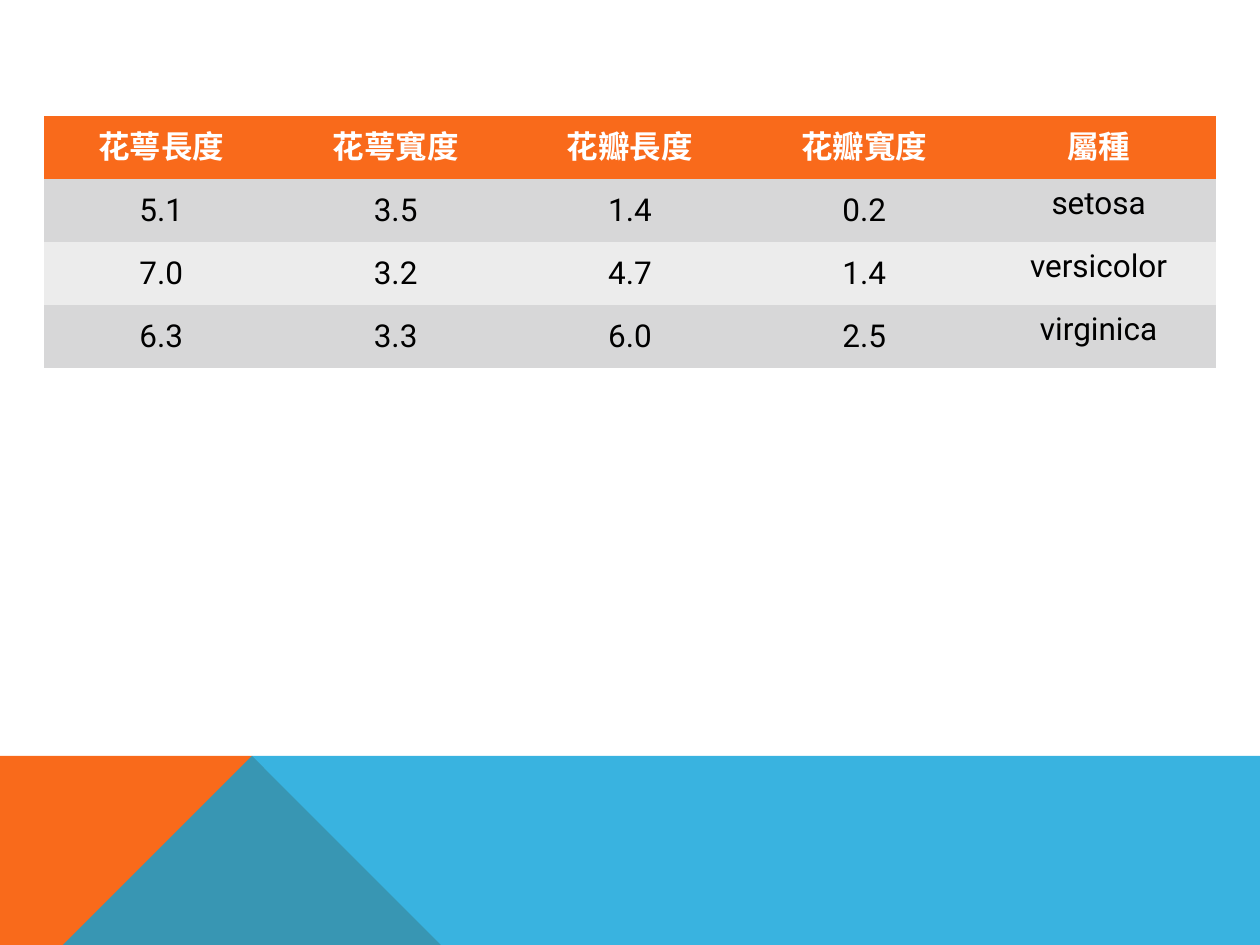
from lxml import etree
from pptx import Presentation, util as u
from pptx.dml.color import RGBColor
from pptx.enum import text
from pptx.oxml import ns

ORANGE = RGBColor(0xF9, 0x6A, 0x1B)
BLUE = RGBColor(0x08, 0xA1, 0xD9)
DARK_BAND = RGBColor(0xD7, 0xD7, 0xD8)
LIGHT_BAND = RGBColor(0xEC, 0xEC, 0xEC)
WHITE = RGBColor(0xFF, 0xFF, 0xFF)
BLACK = RGBColor(0, 0, 0)

PLAIN_TABLE_STYLE = "{2D5ABB26-0587-4C30-8999-92F81FD0307C}"

HEADINGS = ["花萼長度", "花萼寬度", "花瓣長度", "花瓣寬度", "屬種"]
IRISES = [
    ["5.1", "3.5", "1.4", "0.2", "setosa"],
    ["7.0", "3.2", "4.7", "1.4", "versicolor"],
    ["6.3", "3.3", "6.0", "2.5", "virginica"],
]


class Deck:
    """Holds the style and the current slide; lengths are inches on a 10 x 7.5 grid."""

    font = "Roboto"
    size = u.Pt(18)
    inset = u.Inches(0.05)

    def __init__(self, width, height):
        self.presentation = Presentation()
        self.presentation.slide_width = u.Inches(width)
        self.presentation.slide_height = u.Inches(height)
        self.slide = self.presentation.slides.add_slide(self.presentation.slide_layouts[6])

    def polygon(self, corners, color, opacity=100):
        start, *others = corners
        builder = self.slide.shapes.build_freeform(*start, scale=u.Inches(1))
        builder.add_line_segments(others, close=True)
        area = builder.convert_to_shape()
        area.shadow.inherit = False
        area.line.fill.background()
        area.fill.solid()
        area.fill.fore_color.rgb = color
        if opacity < 100:
            tint = area.fill._xPr.find(".//" + ns.qn("a:srgbClr"))
            etree.SubElement(tint, ns.qn("a:alpha"), val=str(opacity * 1000))

    def cell(self, cell, words, fill, color, bold=False, centred=False):
        cell.fill.solid()
        cell.fill.fore_color.rgb = fill
        if centred:
            cell.vertical_anchor = text.MSO_ANCHOR.MIDDLE
            cell.margin_left = cell.margin_right = self.inset
            cell.margin_top = cell.margin_bottom = self.inset
        paragraph = cell.text_frame.paragraphs[0]
        paragraph.alignment = text.PP_ALIGN.CENTER
        run = paragraph.add_run()
        run.text = words
        run.font.name, run.font.size, run.font.bold = self.font, self.size, bold
        run.font.color.rgb = color

    def table(self, left, top, column, row, headings, records):
        """Draw a banded table; the last column holds names, the others measurements."""
        columns, rows = len(headings), len(records) + 1
        box = [u.Inches(n) for n in (left, top, column * columns, row * rows)]
        table = self.slide.shapes.add_table(rows, columns, *box).table
        table._tbl.tblPr.find(ns.qn("a:tableStyleId")).text = PLAIN_TABLE_STYLE
        for c, heading in enumerate(headings):
            self.cell(table.cell(0, c), heading, ORANGE, WHITE, bold=True)
        for r, record in enumerate(records, 1):
            band = DARK_BAND if r % 2 else LIGHT_BAND
            for c, value in enumerate(record):
                self.cell(table.cell(r, c), value, band, BLACK, centred=c < columns - 1)


def main():
    width, height = 10, 7.5
    peak_x, horizon = 2.23, 5.52
    deck = Deck(width, height)
    deck.polygon([(0, height), (0, horizon), (peak_x, horizon), (3.91, height)], ORANGE)
    deck.polygon([(0, height), (peak_x, horizon), (width, horizon), (width, height)],
                 BLUE, opacity=80)
    deck.table(0.35, 0.92, 1.86, 0.5, HEADINGS, IRISES)
    deck.presentation.save("out.pptx")


if __name__ == "__main__":
    main()
